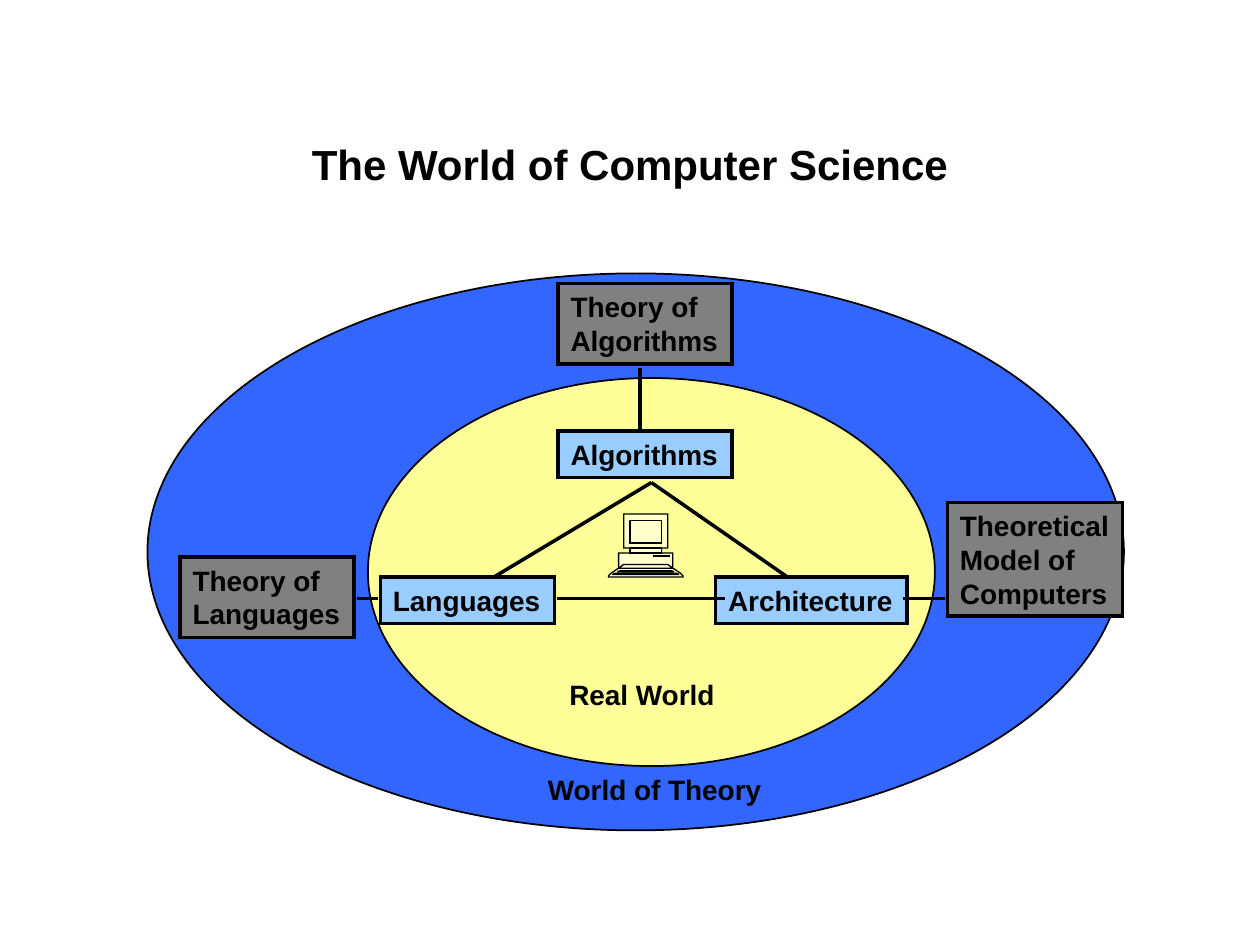
from copy import deepcopy

from lxml.etree import SubElement
from pptx import Presentation
from pptx.dml.color import RGBColor
from pptx.enum.shapes import MSO_CONNECTOR as Connector, MSO_SHAPE as Preset
from pptx.enum.text import MSO_ANCHOR as Anchor, MSO_AUTO_SIZE as AutoSize, PP_ALIGN as Align
from pptx.oxml.ns import qn
from pptx.util import Inches, Pt

BLACK = "000000"
THEORY_BLUE, REAL_YELLOW = "3366FF", "FFFF99"
TOPIC_BLUE, THEORY_GRAY = "99CCFF", "808080"
COMPUTER_CREAM = "FFFFCC"
COMPUTER_AXIS = 512.5


def color(hex_value):
    return RGBColor.from_string(hex_value)


def style_shape(shape, fill, line_width):
    shape.shadow.inherit = False
    shape.fill.solid()
    shape.fill.fore_color.rgb = color(fill)
    shape.line.color.rgb = color(BLACK)
    shape.line.width = Pt(line_width)
    SubElement(shape._element.spPr.find(qn("a:ln")), qn("a:miter"), lim="800000")


def write_text(shape, text, size, align=Align.LEFT, anchor=Anchor.TOP, wrap=False):
    frame = shape.text_frame
    frame.text = text
    frame.word_wrap = wrap
    frame.auto_size = AutoSize.NONE if wrap else AutoSize.SHAPE_TO_FIT_TEXT
    frame.vertical_anchor = anchor
    for paragraph in frame.paragraphs:
        paragraph.alignment = align
        for run in paragraph.runs:
            run.font.name = "Arial"
            run.font.size = Pt(size)
            run.font.bold = True
            run.font.color.rgb = color(BLACK)


def add_preset(slide, preset, bounds, fill, line_width):
    shape = slide.shapes.add_shape(preset, *map(Inches, bounds))
    style_shape(shape, fill, line_width)
    return shape


def add_box(slide, text, bounds, fill):
    write_text(add_preset(slide, Preset.RECTANGLE, bounds, fill, 2), text, 16)


def add_label(slide, text, bounds, size=16, **layout):
    write_text(slide.shapes.add_textbox(*map(Inches, bounds)), text, size, **layout)


def add_link(slide, start, end):
    link = slide.shapes.add_connector(Connector.STRAIGHT, *map(Inches, start + end))
    link.line.color.rgb = color(BLACK)
    link.line.width = Pt(2)
    SubElement(link._element.spPr, qn("a:effectLst"))


def mirrored(right_half):
    return right_half + [(2 * COMPUTER_AXIS - x, y) for x, y in reversed(right_half)]


def split_outlines(shape):
    combined = shape._element.xpath(".//a:path")[0]
    outlines = combined.getparent()
    for step in list(combined):
        if step.tag == qn("a:moveTo"):
            outline = deepcopy(combined)
            for child in list(outline):
                outline.remove(child)
            outlines.append(outline)
        outline.append(step)
    outlines.remove(combined)


def add_computer(slide):
    body = [(540, 458), (542, 458), (542, 457), (541, 456), (540, 455), (534, 451),
            (534, 439), (525, 439), (525, 435), (530, 435), (530, 408)]
    keyboard_rows = [[(532, 451), (530, 450)], [(535, 454), (533, 453)],
                     [(539, 456), (537, 455)], [(534, 451), (530, 448)]]
    screen = [(525, 431), (525, 413)]
    neck = [(525, 439), (525, 435)]
    drive = [(519, 441), (519, 442), (531, 442), (531, 441)]
    contours = [mirrored(half) for half in [body, *keyboard_rows, screen, neck]] + [drive]
    builder = slide.shapes.build_freeform(*contours[0][0], scale=Inches(0.01))
    for index, contour in enumerate(contours):
        if index:
            builder.move_to(*contour[0])
        builder.add_line_segments(contour[1:], close=True)
    computer = builder.convert_to_shape()
    split_outlines(computer)
    style_shape(computer, COMPUTER_CREAM, 0.75)


def main():
    presentation = Presentation()
    presentation.slide_width, presentation.slide_height = Inches(10), Inches(7.5)
    slide = presentation.slides.add_slide(presentation.slide_layouts[6])

    add_preset(slide, Preset.OVAL, (1.17, 2.17, 7.75, 4.42), THEORY_BLUE, 1)
    add_preset(slide, Preset.OVAL, (2.92, 3, 4.5, 3.08), REAL_YELLOW, 1)
    add_label(slide, "The World of Computer Science", (0.75, 0.67, 8.5, 1.25), 24,
              align=Align.CENTER, anchor=Anchor.MIDDLE, wrap=True)
    add_computer(slide)

    for text, bounds, fill in [
        ("Algorithms", (4.43, 3.42, 1.38, 0.37), TOPIC_BLUE),
        ("Languages", (3.02, 4.58, 1.38, 0.37), TOPIC_BLUE),
        ("Architecture", (5.68, 4.58, 1.52, 0.37), TOPIC_BLUE),
        ("Theory of\nAlgorithms", (4.43, 2.25, 1.38, 0.64), THEORY_GRAY),
        ("Theory of\nLanguages", (1.43, 4.42, 1.38, 0.64), THEORY_GRAY),
        ("Theoretical\nModel of\nComputers", (7.52, 3.99, 1.39, 0.9), THEORY_GRAY),
    ]:
        add_box(slide, text, bounds, fill)

    apex = (5.17, 3.83)
    for start, end in [
        ((5.08, 2.92), (5.08, 3.42)),
        ((2.83, 4.75), (3, 4.75)),
        ((7.5, 4.75), (7.17, 4.75)),
        (apex, (3.92, 4.58)),
        (apex, (6.25, 4.58)),
        ((5.75, 4.75), (4.42, 4.75)),
    ]:
        add_link(slide, start, end)

    add_label(slide, "Real World", (4.42, 5.33, 1.36, 0.37))
    add_label(slide, "World of Theory", (4.25, 6.08, 1.9, 0.37))
    presentation.save("out.pptx")


main()
